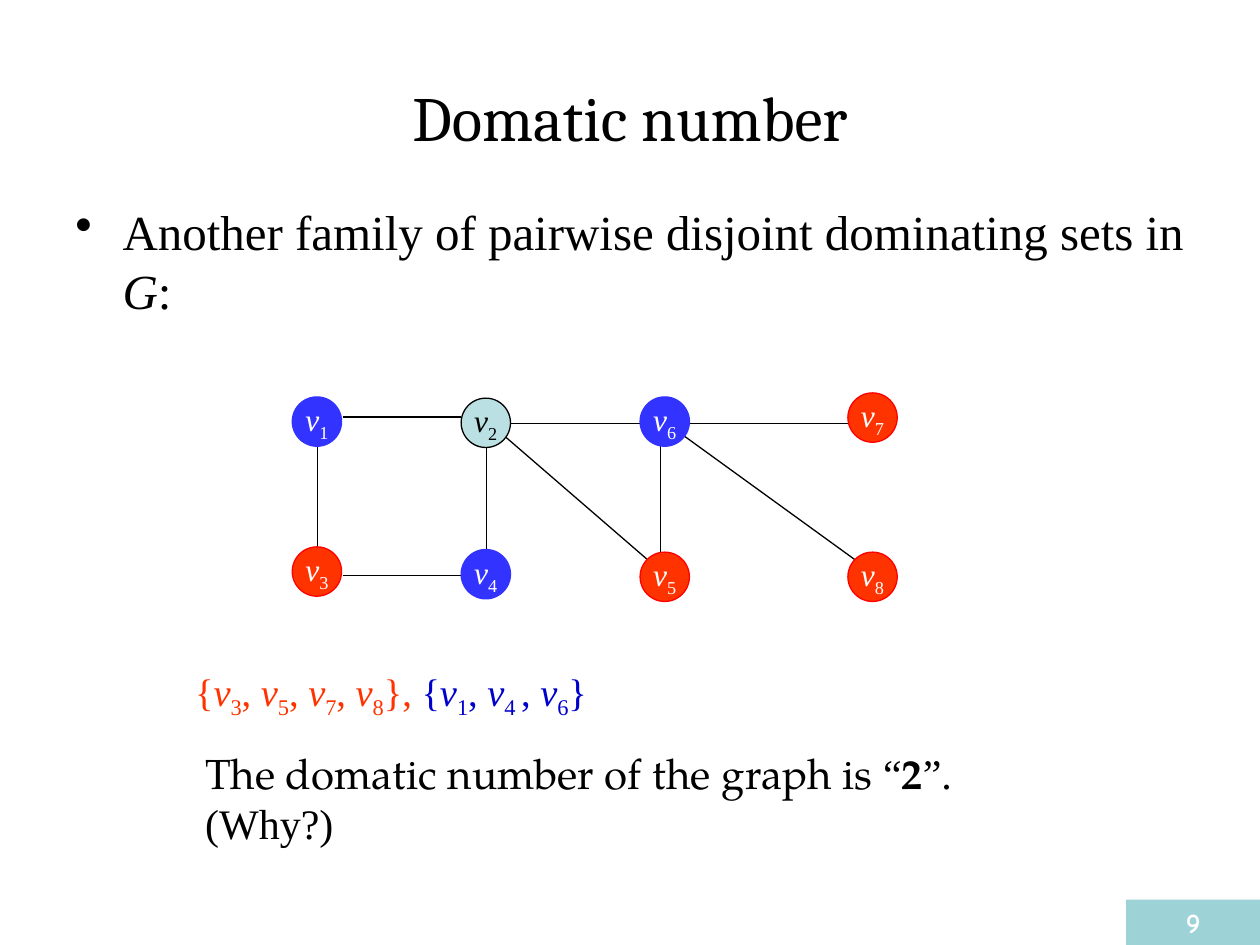
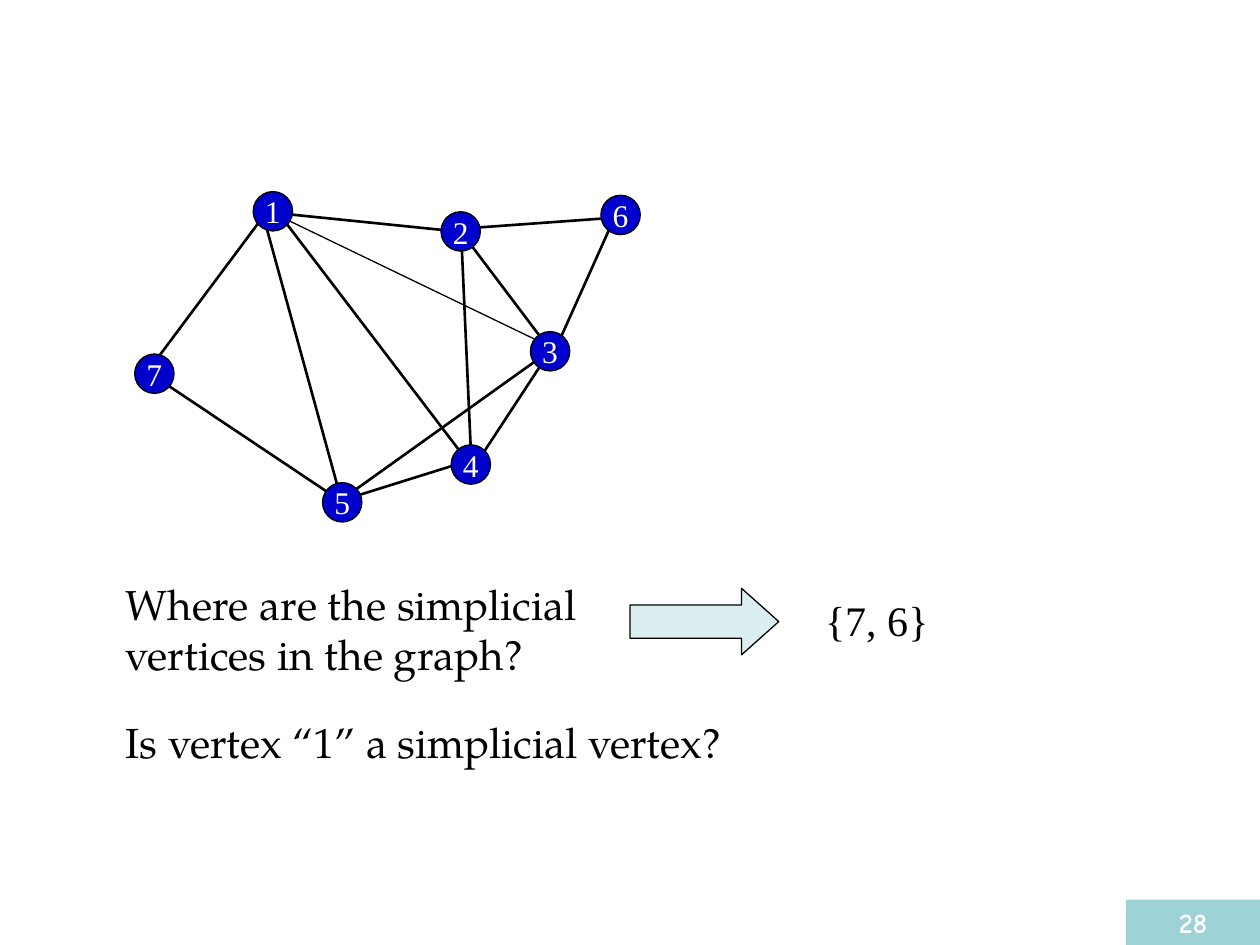
from dataclasses import dataclass
from lxml import etree
from pptx import Presentation
from pptx.dml import color
from pptx.enum import shapes, text
from pptx.oxml import ns
from pptx.util import Pt


@dataclass(frozen=True)
class Theme:
    black: str = "000000"
    white: str = "FFFFFF"
    pale: str = "BBE0E3"
    band: str = "9DD3D7"
    red: str = "FF3300"
    red_line: str = "FF0000"
    blue: str = "3333FF"
    navy: str = "0000CC"
    title_font: str = "Cambria"
    serif: str = "Times New Roman"
    book: str = "TeX Gyre Pagella"
    number_font: str = "Comic Neue"
    title_size: float = 36
    bullet_size: float = 28
    text_size: float = 24
    sets_size: float = 22
    label_size: float = 18
    number_size: float = 16
    thin: float = 0.75
    thick: float = 1.5


THEME = Theme()
PAGE_WIDTH, PAGE_HEIGHT = 720, 540

# Vertex style: fill, outline, label colour
RED = (THEME.red, THEME.red_line, THEME.white)
BLUE = (THEME.blue, THEME.blue, THEME.white)
PALE = (THEME.pale, THEME.black, THEME.black)
NAVY = (THEME.navy, THEME.black, THEME.white)

# Vertices: label -> left, top, style. Edges: from x, y, to x, y. All relative to the graph box.
DOMATIC_VERTICES = {
    "1": (0, 2.3, BLUE), "2": (96.5, 3, PALE), "3": (0, 88, RED), "4": (96.5, 89.5, BLUE),
    "5": (198.75, 91, RED), "6": (198.75, 2.3, BLUE), "7": (317.5, 0, RED), "8": (317.5, 91, RED),
}
DOMATIC_EDGES = [
    (28.8, 13.8, 96.5, 13.8), (28.8, 104.5, 96.5, 104.5), (14.4, 29, 14.4, 91.5),
    (110.9, 31, 110.9, 93.7), (119.6, 23.2, 204.5, 96.6), (125.3, 17.4, 204.5, 17.4),
    (210.3, 28.2, 210.3, 91), (221, 22.5, 323.3, 96.6), (226.8, 17.4, 317.5, 17.4),
]
SIMPLICIAL_VERTICES = {
    "1": (67.7, 0, NAVY), "2": (175, 11.5, NAVY), "3": (226.1, 80, NAVY),
    "4": (180.8, 144.7, NAVY), "5": (107.3, 166.3, NAVY), "6": (266.4, 2.1, NAVY),
    "7": (0, 92.8, NAVY),
}
SIMPLICIAL_EDGES = [
    (118.1, 176.3, 72.8, 11.5), (118.8, 176.3, 192.3, 153.3), (73.5, 11.5, 186.5, 23),
    (186.5, 23, 192.3, 153.3), (118.8, 175.6, 237.6, 90.7), (198, 151.1, 237.6, 90.7),
    (186.5, 23, 237.6, 90.7), (192.3, 20.8, 271.5, 15.1), (243.4, 83.5, 271.5, 20.8),
    (72.8, 15.1, 11.6, 97.1), (13.7, 107.2, 116, 175.6), (84.3, 15.1, 192.3, 156.9),
]
SIMPLICIAL_THIN_EDGES = [(86.4, 15.8, 228.3, 84.2)]


def rgb(value):
    return color.RGBColor.from_string(value)


def points(*lengths):
    return [Pt(length) for length in lengths]


def write_spans(para, spans, size, font=THEME.serif, ink=THEME.black):
    """Fill a paragraph with (wording, changes) spans."""
    for wording, changes in spans:
        span = para.add_run()
        span.text = wording
        span.font.size = Pt(size)
        span.font.name = changes.get("font", font)
        span.font.bold = changes.get("bold", False)
        span.font.italic = changes.get("italic", False)
        span.font.color.rgb = rgb(changes.get("ink", ink))
        if changes.get("sub"):
            span._r.get_or_add_rPr().set("baseline", "-25000")


def vertex_name(number, **changes):
    return [("v", {"italic": True, **changes}), (number, {"sub": True, **changes})]


def vertex_set(numbers, ink):
    spans = [("{", {"ink": ink})]
    for index, number in enumerate(numbers):
        if index:
            spans.append((", ", {"ink": ink}))
        spans += vertex_name(number, ink=ink)
    return spans + [("}", {"ink": ink})]


def add_text(page, box, spans, size, font=THEME.serif):
    frame = page.shapes.add_textbox(*points(*box)).text_frame
    frame.word_wrap = True
    write_spans(frame.paragraphs[0], spans, size, font)
    return frame.paragraphs[0]


def add_bullet(page, box, spans):
    para = add_text(page, box, spans, THEME.bullet_size)
    props = para._p.get_or_add_pPr()
    props.set("marL", str(Pt(27)))
    props.set("indent", str(-Pt(27)))
    etree.SubElement(props, ns.qn("a:buChar")).set("char", "•")


def add_preset(page, kind, box, fill, line=None):
    shape = page.shapes.add_shape(kind, *points(*box))
    shape.shadow.inherit = False
    shape.fill.solid()
    shape.fill.fore_color.rgb = rgb(fill)
    if line:
        shape.line.color.rgb = rgb(line)
        shape.line.width = Pt(THEME.thin)
    else:
        shape.line.fill.background()
    return shape


def label_shape(shape, spans, size, font, ink):
    frame = shape.text_frame
    frame.margin_left = frame.margin_right = frame.margin_top = frame.margin_bottom = 0
    frame.word_wrap = False
    frame.vertical_anchor = text.MSO_ANCHOR.MIDDLE
    frame.paragraphs[0].alignment = text.PP_ALIGN.CENTER
    write_spans(frame.paragraphs[0], spans, size, font, ink)


def add_edges(page, origin, edges, width):
    left, top = origin
    for x1, y1, x2, y2 in edges:
        ends = points(left + x1, top + y1, left + x2, top + y2)
        edge = page.shapes.add_connector(shapes.MSO_CONNECTOR.STRAIGHT, *ends)
        edge.line.color.rgb = rgb(THEME.black)
        edge.line.width = Pt(width)
        etree.SubElement(edge._element.spPr, ns.qn("a:effectLst"))


def add_vertices(page, origin, vertices, diameter, name):
    """Draw the circles; name turns a vertex label into spans."""
    left, top = origin
    for label, (x, y, (fill, line, ink)) in vertices.items():
        box = (left + x, top + y, diameter, diameter)
        circle = add_preset(page, shapes.MSO_SHAPE.OVAL, box, fill, line)
        label_shape(circle, name(label), THEME.label_size, THEME.serif, ink)


def add_title(page, box, wording):
    title = page.shapes.title
    title.left, title.top, title.width, title.height = points(*box)
    title.text_frame.text = wording
    title.text_frame.vertical_anchor = text.MSO_ANCHOR.MIDDLE
    para = title.text_frame.paragraphs[0]
    para.alignment = text.PP_ALIGN.CENTER
    para.font.size = Pt(THEME.title_size)
    para.font.name = THEME.title_font
    para.font.color.rgb = rgb(THEME.black)


def add_page_number(page, number):
    width, height = 76.5, 26
    box = (PAGE_WIDTH - width, PAGE_HEIGHT - height, width, height)
    band = add_preset(page, shapes.MSO_SHAPE.RECTANGLE, box, THEME.band)
    label_shape(band, [(number, {"bold": True})], THEME.number_size, THEME.number_font, THEME.white)


def add_answer_arrow(page, box):
    arrow = add_preset(page, shapes.MSO_SHAPE.RIGHT_ARROW, box, THEME.pale, THEME.black)
    arrow.adjustments[0] = 0.5
    arrow.adjustments[1] = 0.56
    tint = arrow._element.spPr.find(ns.qn("a:solidFill"))[0]
    etree.SubElement(tint, ns.qn("a:alpha")).set("val", "50000")


def build_domatic(deck):
    page = deck.slides.add_slide(deck.slide_layouts[5])
    add_title(page, (36, 21.6, 648, 90), "Domatic number")
    add_bullet(page, (36, 111.6, 648, 80), [
        ("Another family of pairwise disjoint dominating sets in ", {}),
        ("G", {"italic": True}), (":", {})])
    origin = (167, 224.5)
    add_edges(page, origin, DOMATIC_EDGES, THEME.thin)
    add_vertices(page, origin, DOMATIC_VERTICES, 28.2, vertex_name)
    sets = vertex_set("3578", THEME.red) + [(", ", {"ink": THEME.red})]
    sets += vertex_set(["1", "4 ", "6"], THEME.navy)
    add_text(page, (104.4, 378, 306, 37.5), sets, THEME.sets_size)
    add_text(page, (110.2, 423.4, 512, 65), [
        ("The domatic number of the graph is ", {}), ("“", {"font": THEME.serif}),
        ("2", {"bold": True}), ("”. (Why?)", {"font": THEME.serif})],
        THEME.text_size, THEME.book)
    add_page_number(page, "9")


def build_simplicial(deck):
    page = deck.slides.add_slide(deck.slide_layouts[6])
    origin = (77, 109.5)
    add_edges(page, origin, SIMPLICIAL_EDGES, THEME.thick)
    add_edges(page, origin, SIMPLICIAL_THIN_EDGES, THEME.thin)
    add_vertices(page, origin, SIMPLICIAL_VERTICES, 22.5, lambda label: [(label, {})])
    questions = [
        ((64.8, 326.9, 278, 65), "Where are the simplicial vertices in the graph?"),
        ((64.8, 406, 391, 36), "Is vertex “1” a simplicial vertex?"),
    ]
    for box, question in questions:
        add_text(page, box, [(question, {})], THEME.text_size, THEME.book)
    add_answer_arrow(page, (360, 336.2, 85, 38))
    add_text(page, (464.4, 336.2, 85, 36), [("{7, 6}", {})], THEME.text_size)
    add_page_number(page, "28")


def main():
    deck = Presentation()
    deck.slide_width, deck.slide_height = points(PAGE_WIDTH, PAGE_HEIGHT)
    build_domatic(deck)
    build_simplicial(deck)
    deck.save("out.pptx")


if __name__ == "__main__":
    main()
